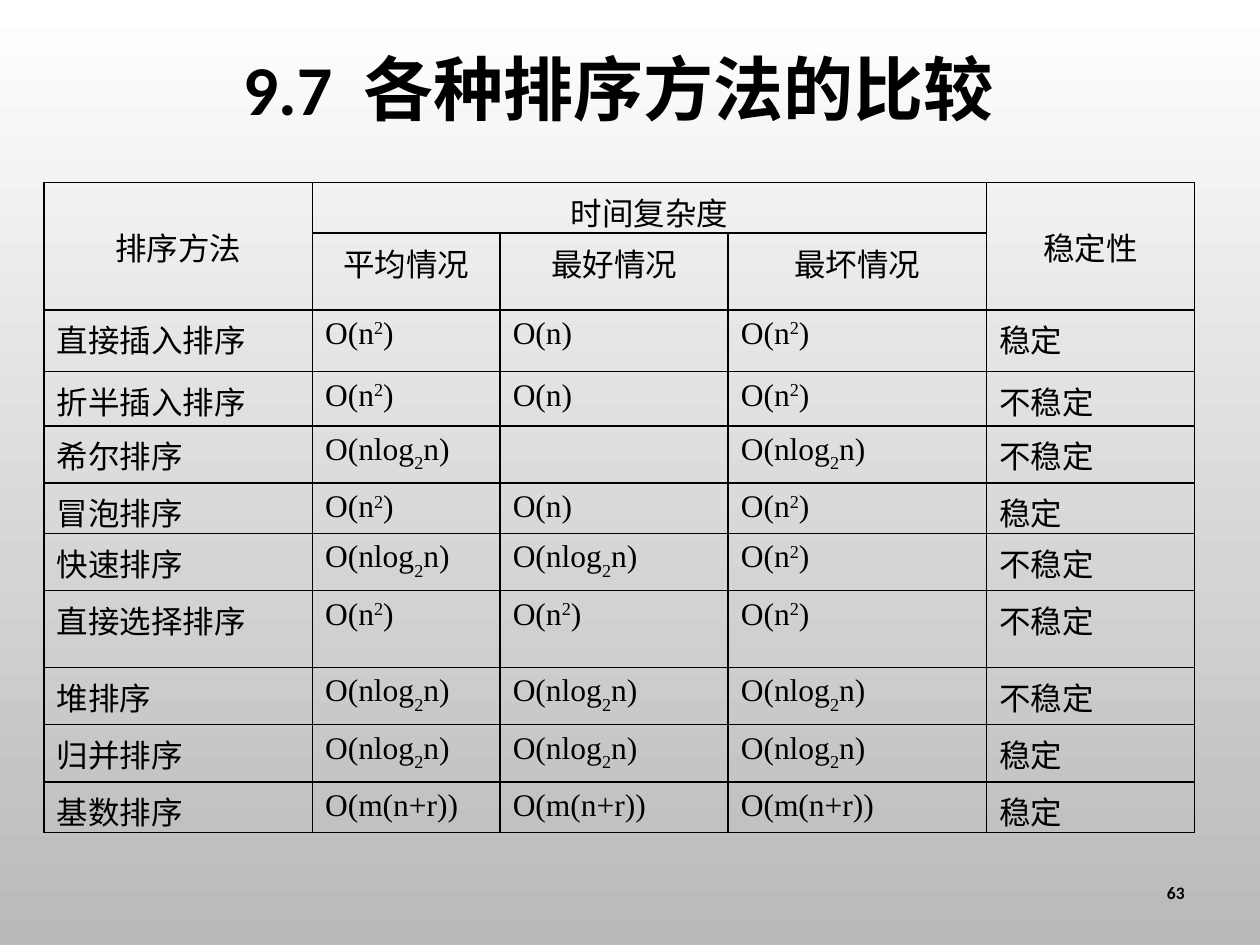
"""Build the slide that compares sorting methods."""
from lxml.etree import SubElement
from pptx import Presentation
from pptx.dml.color import RGBColor
from pptx.enum.text import MSO_ANCHOR as Anchor, PP_ALIGN as Align
from pptx.oxml import parse_xml
from pptx.oxml.ns import nsdecls, qn
from pptx.util import Inches, Pt

BLACK = RGBColor(0x00, 0x00, 0x00)
WHITE = RGBColor(0xFF, 0xFF, 0xFF)
GRAY = RGBColor(0xB9, 0xB9, 0xB9)

TITLE = "9.7  各种排序方法的比较"
PAGE_NUMBER = "63"
HEADERS = [
    ["排序方法", "时间复杂度", "", "", "稳定性"],
    ["", "平均情况", "最好情况", "最坏情况", ""],
]
LINEAR = [("O(n)", 0)]
SQUARE = [("O(n", 0), ("2", 30), (")", 0)]
LOG = [("O(nlog", 0), ("2", -30), ("n)", 0)]
RADIX = [("O(m(n+r))", 0)]
STABLE, UNSTABLE = "稳定", "不稳定"
METHODS = [
    ("直接插入排序", SQUARE, LINEAR, SQUARE, STABLE),
    ("折半插入排序", SQUARE, LINEAR, SQUARE, UNSTABLE),
    ("希尔排序", LOG, [], LOG, UNSTABLE),
    ("冒泡排序", SQUARE, LINEAR, SQUARE, STABLE),
    ("快速排序", LOG, LOG, SQUARE, UNSTABLE),
    ("直接选择排序", SQUARE, SQUARE, SQUARE, UNSTABLE),
    ("堆排序", LOG, LOG, LOG, UNSTABLE),
    ("归并排序", LOG, LOG, LOG, STABLE),
    ("基数排序", RADIX, RADIX, RADIX, STABLE),
]
COLUMN_WIDTHS = [2.13, 1.49, 1.81, 2.05, 1.65]
ROW_HEIGHTS = [0.38, 0.61, 0.49, 0.43, 0.44, 0.38, 0.38, 0.61, 0.38, 0.39, 0.38]
MERGES = [((0, 0), (1, 0)), ((0, 1), (0, 3)), ((0, 4), (1, 4))]


def style(font, name, size, bold=False):
    font.name, font.size, font.bold = name, Pt(size), bold
    font.color.rgb = BLACK


def add_text(page, text, place, size, align):
    box = page.shapes.add_textbox(*map(Inches, place))
    frame = box.text_frame
    frame.word_wrap = True
    frame.vertical_anchor = Anchor.MIDDLE
    frame.text = text
    para = frame.paragraphs[0]
    para.alignment = align
    style(para.runs[0].font, "Calibri", size, True)
    return para


def add_borders(cell):
    properties = cell._tc.get_or_add_tcPr()
    for index, side in enumerate(("lnL", "lnR", "lnT", "lnB")):
        properties.insert(index, parse_xml(
            f'<a:{side} {nsdecls("a")} w="{Pt(1)}"><a:solidFill>'
            f'<a:srgbClr val="{BLACK}"/></a:solidFill></a:{side}>'))


def fill_cell(cell, content, header):
    cell.fill.background()
    add_borders(cell)
    para = cell.text_frame.paragraphs[0]
    properties = para._p.get_or_add_pPr()
    properties.set("marL", str(Inches(0.38)))
    properties.set("indent", str(-Inches(0.38)))
    para.alignment = Align.CENTER if header else Align.LEFT
    spans = [(content, 0)] if isinstance(content, str) else content
    for text, baseline in spans:
        if text:
            span = para.add_run()
            span.text = text
            style(span.font, "Times New Roman", 18)
            if baseline:
                span.font._element.set("baseline", str(baseline * 1000))
    if not para.runs:
        SubElement(para._p, qn("a:endParaRPr"), sz="1800")


def add_comparison(page):
    rows = HEADERS + METHODS
    frame = page.shapes.add_table(
        len(rows), len(COLUMN_WIDTHS), Inches(0.35), Inches(1.45),
        Inches(sum(COLUMN_WIDTHS)), Inches(sum(ROW_HEIGHTS)))
    table = frame.table
    table.first_row = table.horz_banding = False
    for column, width in zip(table.columns, COLUMN_WIDTHS):
        column.width = Inches(width)
    for row, height in zip(table.rows, ROW_HEIGHTS):
        row.height = Inches(height)
    for r, contents in enumerate(rows):
        for c, content in enumerate(contents):
            fill_cell(table.cell(r, c), content, r < len(HEADERS))
    for first, last in MERGES:
        table.cell(*first).merge(table.cell(*last))
    for c in (0, 4):
        table.cell(0, c).vertical_anchor = Anchor.MIDDLE


def main():
    deck = Presentation()
    deck.slide_width, deck.slide_height = Inches(10), Inches(7.5)
    page = deck.slides.add_slide(deck.slide_layouts[6])
    background = page.background.fill
    background.gradient()
    background.gradient_angle = 270
    for stop, color in zip(background.gradient_stops, (WHITE, GRAY)):
        stop.color.rgb = color
    title = add_text(page, TITLE, (0.33, 0.32, 9.15, 0.83), 40, Align.CENTER)
    title.line_spacing = 0.9
    add_comparison(page)
    add_text(page, PAGE_NUMBER, (7.42, 6.92, 2.08, 0.33), 10, Align.RIGHT)
    deck.save("out.pptx")


if __name__ == "__main__":
    main()
